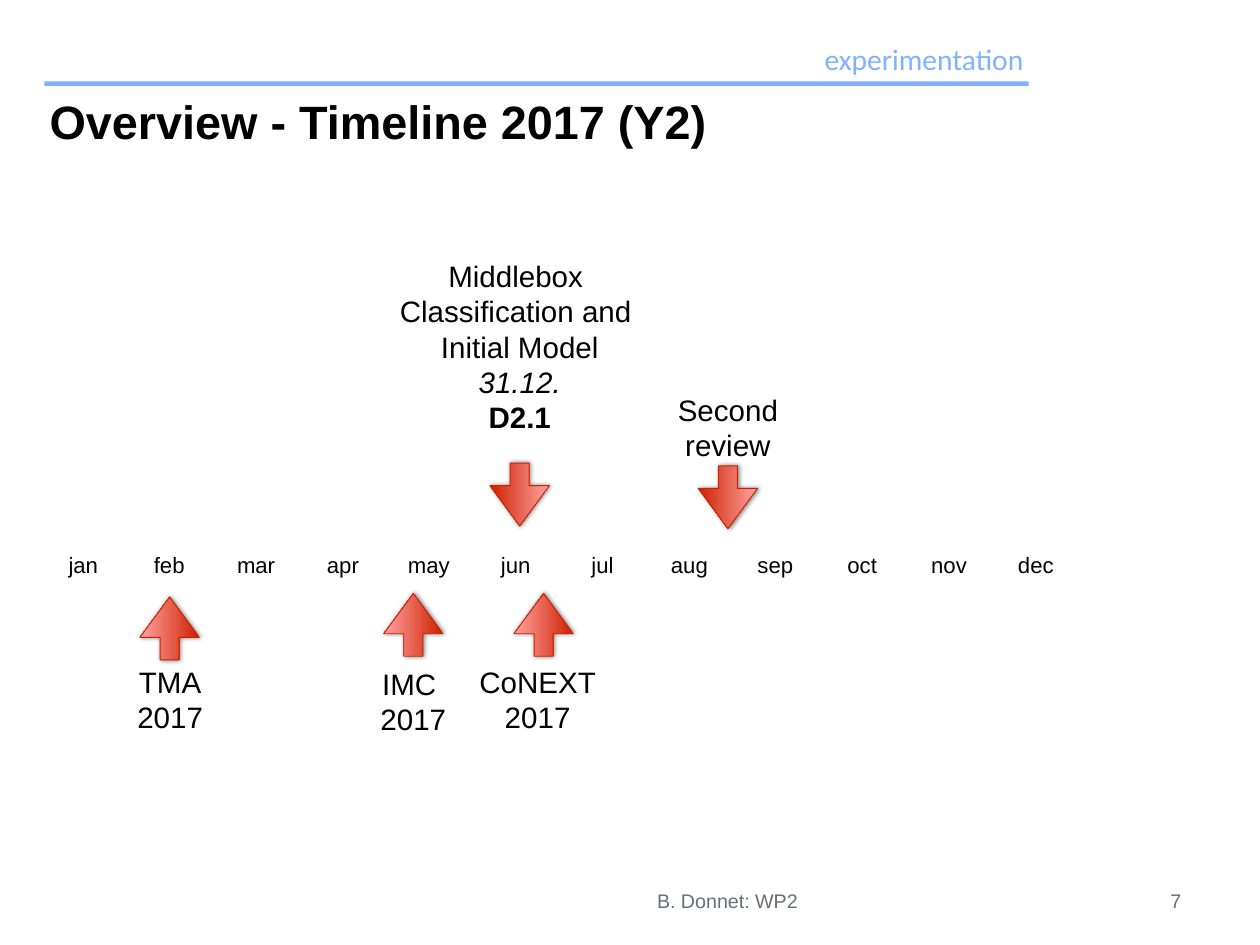
from dataclasses import dataclass

from lxml.etree import SubElement
from pptx import Presentation
from pptx.dml.color import RGBColor
from pptx.enum.shapes import MSO_SHAPE as Shape
from pptx.enum.text import MSO_ANCHOR as Anchor, MSO_AUTO_SIZE as AutoSize, PP_ALIGN as Align
from pptx.oxml.ns import qn
from pptx.util import Emu, Pt

PX = 9144
DOWN, UP = 90, 270


@dataclass(frozen=True)
class Theme:
    ink: RGBColor = RGBColor(0x00, 0x00, 0x00)
    paper: RGBColor = RGBColor(0xFF, 0xFF, 0xFF)
    accent: RGBColor = RGBColor(0x80, 0xB3, 0xFF)
    muted: RGBColor = RGBColor(0x68, 0x6F, 0x76)
    arrow_dark: RGBColor = RGBColor(0xCE, 0x21, 0x00)
    arrow_light: RGBColor = RGBColor(0xFF, 0xA3, 0xA1)
    arrow_edge: RGBColor = RGBColor(0xC8, 0x21, 0x01)
    body_font: str = "Arial"
    header_font: str = "Calibri"
    title_size: int = 38
    label_size: int = 24
    month_size: int = 18
    footer_size: int = 16


@dataclass(frozen=True)
class Line:
    text: str
    align: Align = Align.CENTER
    bold: bool = False
    italic: bool = False


def px(*lengths):
    return [Emu(length * PX) for length in lengths]


def assign(target, values):
    for name, value in values.items():
        setattr(target, name, value)


class TimelineSlide:
    def __init__(self, deck, theme):
        self.theme = theme
        self.slide = deck.slides.add_slide(deck.slide_layouts[5])
        self.shapes = self.slide.shapes

    def fill_text(self, shape, lines, size, color=None, font=None, inset=6, **frame_format):
        frame = shape.text_frame
        margins = dict.fromkeys(
            ("margin_left", "margin_top", "margin_right", "margin_bottom"), Emu(inset * PX))
        assign(frame, margins | {
            "word_wrap": True, "auto_size": AutoSize.NONE,
            "vertical_anchor": Anchor.MIDDLE} | frame_format)
        for index, line in enumerate(lines):
            paragraph = frame.add_paragraph() if index else frame.paragraphs[0]
            paragraph.alignment = line.align
            run = paragraph.add_run()
            run.text = line.text
            assign(run.font, {
                "name": font or self.theme.body_font, "size": Pt(size),
                "bold": line.bold, "italic": line.italic})
            run.font.color.rgb = color or self.theme.ink

    def title(self, box, text):
        heading = self.shapes.title
        assign(heading, dict(zip(("left", "top", "width", "height"), px(*box))))
        self.fill_text(heading, [Line(text, Align.LEFT, bold=True)],
                       self.theme.title_size, vertical_anchor=Anchor.TOP)

    def text(self, box, lines, size, **formats):
        self.fill_text(self.shapes.add_textbox(*px(*box)), lines, size, **formats)

    def label(self, box, lines, size=None, **formats):
        self.text(box, lines, size or self.theme.label_size,
                  word_wrap=False, auto_size=AutoSize.SHAPE_TO_FIT_TEXT, **formats)

    def block(self, box, color):
        block = self.shapes.add_shape(Shape.RECTANGLE, *px(*box))
        block.shadow.inherit = False
        block.fill.solid()
        block.fill.fore_color.rgb = color
        block.line.fill.background()
        return block

    def month(self, box, name):
        self.fill_text(self.block(box, self.theme.paper), [Line(name)],
                       self.theme.month_size, inset=4)

    def arrow(self, left, top, rotation):
        arrow = self.shapes.add_shape(Shape.RIGHT_ARROW, *px(left, top, 71, 67))
        arrow.rotation = rotation
        arrow.adjustments[0], arrow.adjustments[1] = 0.32, 0.68
        arrow.fill.gradient()
        arrow.fill.gradient_angle = 90
        shades = (self.theme.arrow_dark, self.theme.arrow_light)
        for stop, (position, shade) in zip(arrow.fill.gradient_stops, enumerate(shades)):
            stop.position = position
            stop.color.rgb = shade
        arrow.line.color.rgb = self.theme.arrow_edge
        arrow.line.width = Pt(0.75)
        arrow.shadow.inherit = False
        effects = arrow._element.spPr.find(qn("a:effectLst"))
        shadow = SubElement(effects, qn("a:outerShdw"), blurRad=str(Pt(4)),
                            dist=str(Pt(1)), dir="0", rotWithShape="0")
        tint = SubElement(shadow, qn("a:srgbClr"), val=str(self.theme.ink))
        SubElement(tint, qn("a:alpha"), val="50000")


MONTHS = "jan feb mar apr may jun jul aug sep oct nov dec".split()
FIRST_MONTH, LAST_MONTH = 50, 1125

MILESTONES = [
    ((551, 525, DOWN), (439, 285, 295, 212), [
        Line("Middlebox "), Line("Classification and "), Line("Initial Model"),
        Line("31.12.", italic=True), Line("D2.1", bold=True)]),
    ((786, 528, DOWN), (753, 437, 137, 91), [Line("Second"), Line("review")]),
    ((156, 676, UP), (146, 744, 92, 91), [Line("TMA"), Line("2017")]),
    ((431, 672, UP), (420, 746, 93, 91), [Line("IMC "), Line("2017")]),
    ((578, 672, UP), (535, 744, 158, 91), [Line("CoNEXT", Align.LEFT), Line("2017")]),
]


def main():
    deck = Presentation()
    deck.slide_width, deck.slide_height = px(1422, 1067)
    theme = Theme()
    timeline = TimelineSlide(deck, theme)

    timeline.text((380, 1000, 882, 34), [Line("B. Donnet: WP2")],
                  theme.footer_size, color=theme.muted, inset=5)
    timeline.block((50, 92, 1111, 5), theme.accent)
    timeline.label((911, 41, 250, 51), [Line("experimentation", Align.RIGHT)],
                   color=theme.accent, font=theme.header_font)
    timeline.title((50, 99, 1083, 151), "Overview - Timeline 2017 (Y2)")
    timeline.label((1315, 1000, 24, 34), [Line("7")],
                   theme.footer_size, color=theme.muted, inset=5)

    for index, name in enumerate(MONTHS):
        offset = (LAST_MONTH - FIRST_MONTH) * index // (len(MONTHS) - 1)
        timeline.month((FIRST_MONTH + offset, 613, 88, 48), name)

    for arrow, box, lines in MILESTONES:
        timeline.arrow(*arrow)
        timeline.label(box, lines)

    deck.save("out.pptx")


if __name__ == "__main__":
    main()
